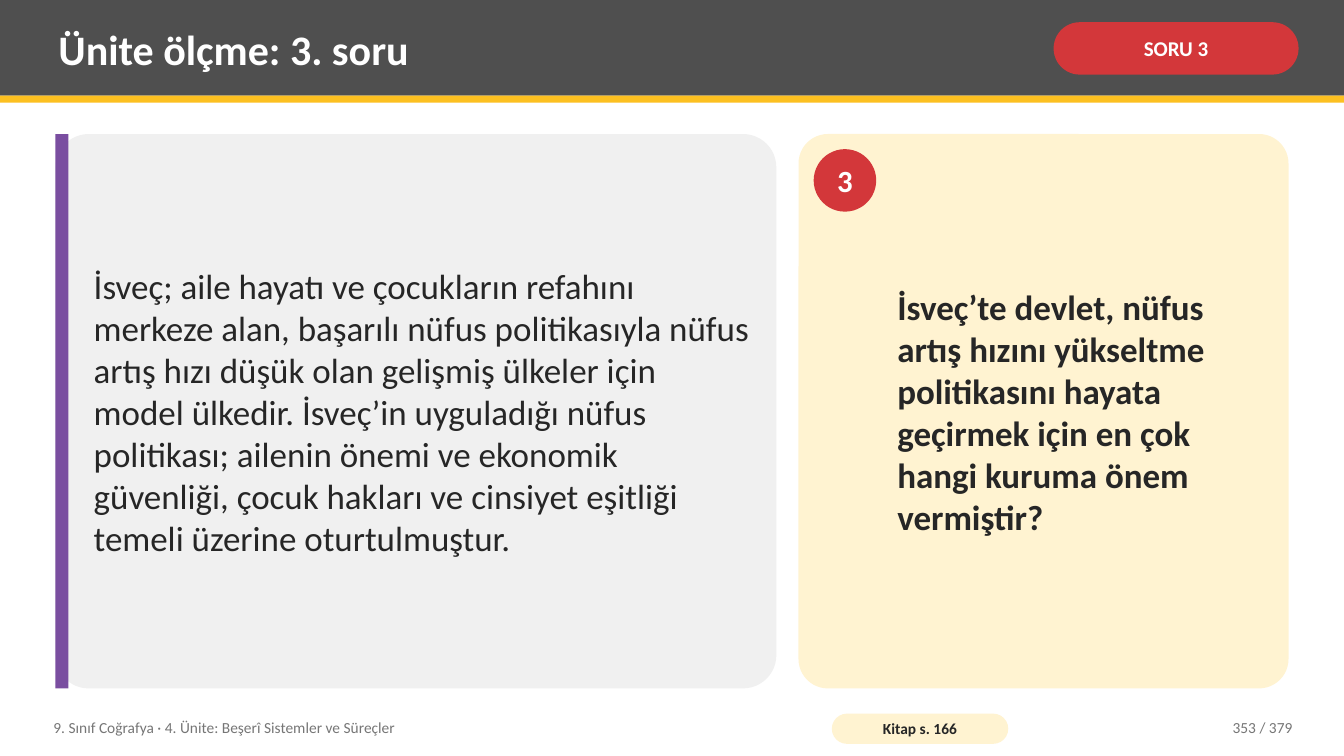
from dataclasses import dataclass
from typing import Optional

from pptx import Presentation
from pptx.dml.color import RGBColor
from pptx.enum.shapes import MSO_SHAPE
from pptx.enum.text import MSO_ANCHOR, PP_ALIGN
from pptx.util import Inches, Pt


@dataclass(frozen=True)
class Theme:
    font: str = "Calibri"
    header: str = "4F4F4F"
    gold: str = "FCC021"
    red: str = "D3373A"
    purple: str = "7A4EA0"
    gray_panel: str = "F0F0F0"
    cream: str = "FFF3D1"
    white: str = "FFFFFF"
    ink: str = "262626"
    muted: str = "767676"
    title_size: int = 30
    body_size: int = 25
    number_size: int = 22
    badge_size: int = 15
    footer_size: int = 11


THEME = Theme()


@dataclass(frozen=True)
class Box:
    left: float
    top: float
    width: float
    height: float

    def lengths(self) -> tuple:
        return tuple(Inches(value) for value in (self.left, self.top, self.width, self.height))


@dataclass(frozen=True)
class Panel:
    box: Box
    fill: str
    kind: MSO_SHAPE = MSO_SHAPE.RECTANGLE
    rounding: Optional[float] = None


@dataclass(frozen=True)
class Label:
    text: str
    size: int
    color: str
    bold: bool = False
    align: PP_ALIGN = PP_ALIGN.LEFT
    margins: tuple = (0.08, 0.04)
    wrap: bool = True


@dataclass(frozen=True)
class Element:
    box: Box
    panel_fill: Optional[str] = None
    kind: MSO_SHAPE = MSO_SHAPE.RECTANGLE
    rounding: Optional[float] = None
    label: Optional[Label] = None


def write_text(shape, text: str, *, size: int, color: str, bold: bool,
               align: PP_ALIGN, margins: tuple, wrap: bool) -> None:
    frame = shape.text_frame
    frame.word_wrap = wrap
    frame.vertical_anchor = MSO_ANCHOR.MIDDLE
    frame.margin_left = frame.margin_right = Inches(margins[0])
    frame.margin_top = frame.margin_bottom = Inches(margins[1])
    paragraph = frame.paragraphs[0]
    paragraph.alignment = align
    run = paragraph.add_run()
    run.text = text
    run.font.name = THEME.font
    run.font.size = Pt(size)
    run.font.bold = bold
    run.font.color.rgb = RGBColor.from_string(color)


def draw_element(slide, element: Element) -> None:
    if element.panel_fill is None:
        shape = slide.shapes.add_textbox(*element.box.lengths())
    else:
        shape = slide.shapes.add_shape(element.kind, *element.box.lengths())
        shape.shadow.inherit = False
        shape.fill.solid()
        shape.fill.fore_color.rgb = RGBColor.from_string(element.panel_fill)
        shape.line.fill.background()
        if element.rounding is not None:
            shape.adjustments[0] = element.rounding
    label = element.label
    if label is not None:
        write_text(shape, label.text, size=label.size, color=label.color, bold=label.bold,
                   align=label.align, margins=label.margins, wrap=label.wrap)


SLIDE_WIDTH = 13.33
PANEL_TOP = 1.33
PANEL_HEIGHT = 5.5
PANEL_LEFT = 0.55
QUESTION_LEFT = 7.92
FOOTER_TOP = 7.04
FOOTER_HEIGHT = 0.36
ROUNDED = MSO_SHAPE.ROUNDED_RECTANGLE

PASSAGE = (
    "İsveç; aile hayatı ve çocukların refahını merkeze alan, başarılı nüfus politikasıyla "
    "nüfus artış hızı düşük olan gelişmiş ülkeler için model ülkedir. İsveç’in uyguladığı "
    "nüfus politikası; ailenin önemi ve ekonomik güvenliği, çocuk hakları ve cinsiyet "
    "eşitliği temeli üzerine oturtulmuştur."
)
QUESTION = (
    "İsveç’te devlet, nüfus artış hızını yükseltme politikasını hayata geçirmek için "
    "en çok hangi kuruma önem vermiştir?"
)

HEADER = [
    Element(Box(0, 0, SLIDE_WIDTH, 0.95), THEME.header),
    Element(Box(0, 0.95, SLIDE_WIDTH, 0.07), THEME.gold),
    Element(Box(0.5, 0.07, 9.75, 0.82),
            label=Label("Ünite ölçme: 3. soru", THEME.title_size, THEME.white, bold=True)),
    Element(Box(10.45, 0.22, 2.43, 0.52), THEME.red, ROUNDED, 0.5,
            Label("SORU 3", THEME.badge_size, THEME.white, True, PP_ALIGN.CENTER, (0.05, 0.02))),
]
PASSAGE_PANEL = [
    Element(Box(PANEL_LEFT, PANEL_TOP, 7.15, PANEL_HEIGHT), THEME.gray_panel, ROUNDED, 0.06),
    Element(Box(PANEL_LEFT, PANEL_TOP, 0.13, PANEL_HEIGHT), THEME.purple),
    Element(Box(PANEL_LEFT + 0.3, PANEL_TOP, 6.7, PANEL_HEIGHT),
            label=Label(PASSAGE, THEME.body_size, THEME.ink)),
]
QUESTION_PANEL = [
    Element(Box(QUESTION_LEFT, PANEL_TOP, 4.86, PANEL_HEIGHT), THEME.cream, ROUNDED, 0.06),
    Element(Box(QUESTION_LEFT + 0.15, PANEL_TOP + 0.15, 0.62, 0.62), THEME.red, MSO_SHAPE.OVAL,
            label=Label("3", THEME.number_size, THEME.white, True, PP_ALIGN.CENTER, (0, 0), False)),
    Element(Box(QUESTION_LEFT + 0.9, PANEL_TOP + 0.08, 3.86, PANEL_HEIGHT - 0.16),
            label=Label(QUESTION, THEME.body_size, THEME.ink, bold=True)),
]
FOOTER = [
    Element(Box(0.45, FOOTER_TOP, 7.6, FOOTER_HEIGHT),
            label=Label("9. Sınıf Coğrafya · 4. Ünite: Beşerî Sistemler ve Süreçler",
                        THEME.footer_size, THEME.muted)),
    Element(Box(8.25, 7.08, 1.75, 0.3), THEME.cream, ROUNDED, 0.5,
            Label("Kitap s. 166", THEME.footer_size, THEME.ink, True, PP_ALIGN.CENTER, (0.04, 0))),
    Element(Box(11.3, FOOTER_TOP, 1.6, FOOTER_HEIGHT),
            label=Label("353 / 379", THEME.footer_size, THEME.muted, align=PP_ALIGN.RIGHT)),
]


def main() -> None:
    presentation = Presentation()
    presentation.slide_width = Inches(SLIDE_WIDTH)
    presentation.slide_height = Inches(7.5)
    slide = presentation.slides.add_slide(presentation.slide_layouts[6])
    for element in HEADER + PASSAGE_PANEL + QUESTION_PANEL + FOOTER:
        draw_element(slide, element)
    presentation.save("out.pptx")


if __name__ == "__main__":
    main()
